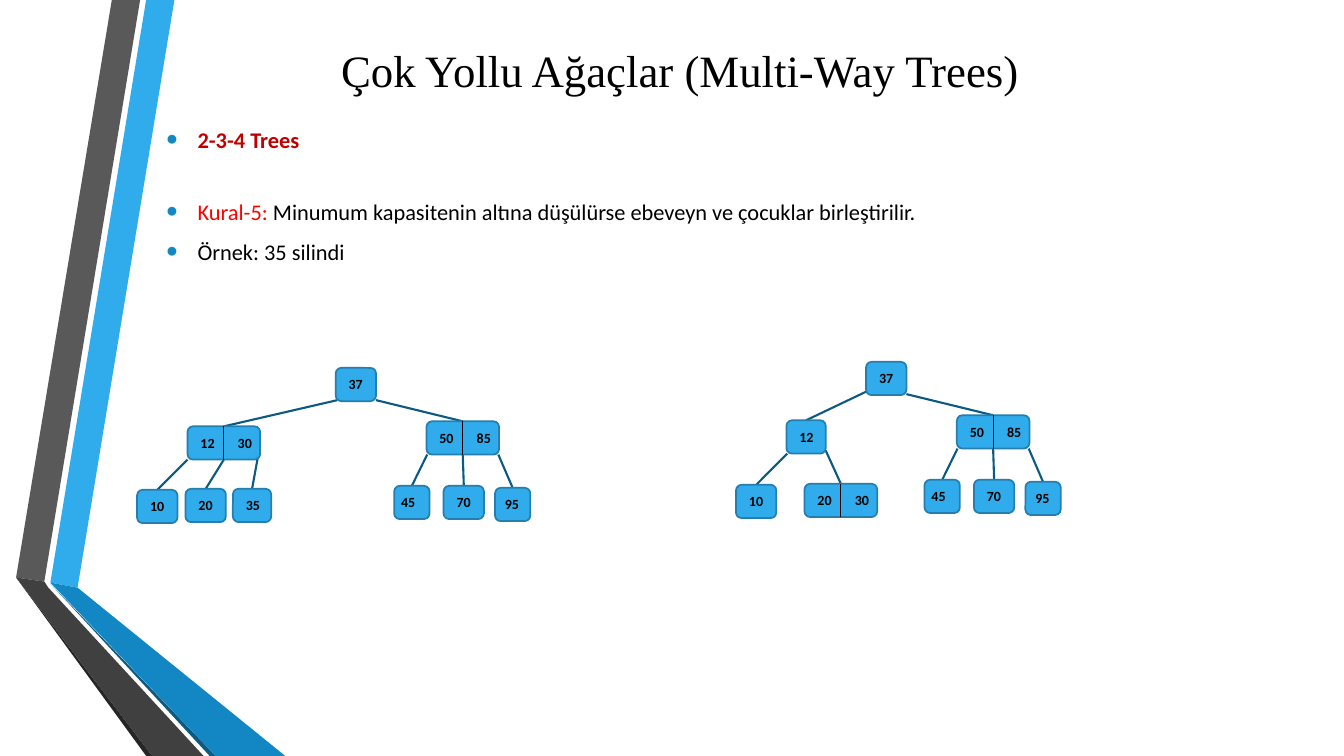
from dataclasses import dataclass

from lxml import etree
from pptx import Presentation
from pptx import util as u
from pptx.dml import color
from pptx.enum import shapes, text
from pptx.oxml import ns

COLORS = {
    "black": "000000", "dark red": "C00000", "red": "FF0000",
    "sky": "30ACEC", "blue": "1287C3", "navy": "0C5A82", "box line": "247FAF",
    "gray": "595959", "charcoal": "404040", "shade": "262626",
}
BOX_HEIGHT = 0.33
KEY_STEP = 0.37
INDENT = 0.31


@dataclass
class Band:
    color: str
    points: list[tuple[float, float]]


@dataclass
class Run:
    text: str
    color: str
    bold: bool = False


@dataclass
class Item:
    runs: list[Run]
    align: text.PP_ALIGN = text.PP_ALIGN.LEFT
    line_spacing: float = 1.0
    before: float = 0
    after: float = 6


@dataclass
class Node:
    keys: list[str]
    left: float
    top: float
    width: float = 0.4
    children: tuple["Node", ...] = ()
    inset: float = 0.03   # label offset from the left of the box
    start: float = 0.5    # where the edge leaves the parent, as a share of its width
    rise: float = 0       # how far above the parent's bottom the edge starts


BANDS = [
    Band("sky", [(0.5, 5.78), (0.77, 5.83), (1.73, 0), (1.45, 0)]),
    Band("gray", [(1.39, 0), (1.11, 0), (0.16, 5.73), (0.44, 5.77)]),
    Band("shade", [(0.16, 5.73), (1.45, 7.5), (1.51, 7.5)]),
    Band("navy", [(0.5, 5.79), (2.08, 7.5), (2.14, 7.5)]),
    Band("blue", [(0.5, 5.78), (2.14, 7.5), (2.83, 7.5), (0.77, 5.83)]),
    Band("charcoal", [(2.02, 7.5), (0.48, 5.83), (0.44, 5.77), (0.16, 5.73), (1.51, 7.5)]),
]

ITEMS = [
    Item([Run("2-3-4 Trees", "dark red", True)], text.PP_ALIGN.JUSTIFY, 1.5, after=0),
    Item([Run("Kural-5: ", "red"),
          Run("Minumum kapasitenin altına düşülürse ebeveyn ve çocuklar birleştirilir.", "black")],
         before=32),
    Item([Run("Örnek: 35 silindi", "black")], before=3.2),
]

RIGHT_BRANCH = Node(["50", "85"], 4.23, 4.18, 0.72, start=1, rise=0.01, children=(
    Node(["45"], 3.91, 4.82, 0.35, inset=-0.03, start=0.01),
    Node(["70"], 4.4, 4.82),
    Node(["95"], 4.91, 4.84, 0.35, inset=0, start=0.99),
))
LEFT_BEFORE = Node(["12", "30"], 1.86, 4.23, 0.72, start=0.04, rise=0.01, children=(
    Node(["10"], 1.36, 4.86, start=0),
    Node(["20"], 1.84, 4.85),
    Node(["35"], 2.31, 4.85, 0.38, start=0.97, rise=0.03),
))
LEFT_AFTER = Node(["12"], 2.54, 4.23, 0.39, start=0.03, rise=0.04, children=(
    Node(["10"], 2.04, 4.87, start=0.02),
    Node(["20", "30"], 2.72, 4.86, 0.72, start=1, rise=0.03),
))


def rgb(name: str) -> color.RGBColor:
    return color.RGBColor.from_string(COLORS[name])


def add_run(paragraph, run: Run, size: float, font: str) -> None:
    piece = paragraph.add_run()
    piece.text = run.text
    piece.font.name, piece.font.size = font, u.Pt(size)
    piece.font.bold = run.bold
    piece.font.color.rgb = rgb(run.color)


def add_bullet(paragraph) -> None:
    properties = paragraph._p.get_or_add_pPr()
    properties.set("marL", str(u.Inches(INDENT)))
    properties.set("indent", str(-u.Inches(INDENT)))
    bullet_color = etree.SubElement(properties, ns.qn("a:buClr"))
    etree.SubElement(bullet_color, ns.qn("a:srgbClr"), val=COLORS["blue"])
    etree.SubElement(properties, ns.qn("a:buSzPct"), val="145000")
    etree.SubElement(properties, ns.qn("a:buFont"), typeface="Arial")
    etree.SubElement(properties, ns.qn("a:buChar"), char="•")


def place(shape, left: float, top: float, width: float, height: float) -> None:
    shape.left, shape.top = u.Inches(left), u.Inches(top)
    shape.width, shape.height = u.Inches(width), u.Inches(height)


def add_band(slide, band: Band) -> None:
    points = [(u.Inches(x), u.Inches(y)) for x, y in band.points]
    builder = slide.shapes.build_freeform(*points[0])
    builder.add_line_segments(points[1:], close=True)
    shape = builder.convert_to_shape()
    shape.shadow.inherit = False
    shape.fill.solid()
    shape.fill.fore_color.rgb = rgb(band.color)
    shape.line.fill.background()


def add_line(slide, start: tuple[float, float], end: tuple[float, float],
             line_color: str, width: float) -> None:
    ends = [u.Inches(value) for value in (*start, *end)]
    line = slide.shapes.add_connector(shapes.MSO_CONNECTOR.STRAIGHT, *ends)
    line.line.color.rgb = rgb(line_color)
    line.line.width = u.Pt(width)
    etree.SubElement(line.element.spPr, ns.qn("a:effectLst"))


def add_label(slide, key: str, left: float, top: float) -> None:
    label = slide.shapes.add_textbox(u.Inches(left), u.Inches(top), u.Inches(0.36), u.Inches(0.27))
    frame = label.text_frame
    frame.word_wrap = True
    frame.auto_size = text.MSO_AUTO_SIZE.SHAPE_TO_FIT_TEXT
    add_run(frame.paragraphs[0], Run(key, "black", True), 10, "Calibri")


def draw_node(slide, node: Node, dx: float = 0, dy: float = 0) -> None:
    left, top = node.left + dx, node.top + dy
    # Edges to the children, then the children themselves
    for child in node.children:
        add_line(slide, (left + child.start * node.width, top + BOX_HEIGHT - child.rise),
                 (child.left + child.width / 2 + dx, child.top + dy), "navy", 1.5)
        draw_node(slide, child, dx, dy)
    # Box with its keys
    box = slide.shapes.add_shape(shapes.MSO_SHAPE.ROUNDED_RECTANGLE, u.Inches(left), u.Inches(top),
                                 u.Inches(node.width), u.Inches(BOX_HEIGHT))
    box.shadow.inherit = False
    box.fill.solid()
    box.fill.fore_color.rgb = rgb("sky")
    box.line.color.rgb = rgb("box line")
    box.line.width = u.Pt(1.25)
    if len(node.keys) > 1:
        middle = left + node.width / 2
        add_line(slide, (middle, top), (middle, top + BOX_HEIGHT), "black", 0.75)
    for index, key in enumerate(node.keys):
        add_label(slide, key, left + node.inset + index * KEY_STEP, top + 0.03)


def fill_placeholders(slide) -> None:
    title, body = slide.shapes.title, slide.placeholders[1]
    place(title, 1.55, 0.17, 10.39, 1.04)
    place(body, 1.55, 1.07, 10.39, 1.92)
    for shape, anchor in ((title, text.MSO_ANCHOR.MIDDLE), (body, text.MSO_ANCHOR.TOP)):
        shape.text_frame.auto_size = text.MSO_AUTO_SIZE.NONE
        shape.text_frame.vertical_anchor = anchor
    heading = title.text_frame.paragraphs[0]
    heading.alignment = text.PP_ALIGN.CENTER
    add_run(heading, Run("Çok Yollu Ağaçlar (Multi-Way Trees)", "black"), 32, "Times New Roman")
    frame = body.text_frame
    for index, item in enumerate(ITEMS):
        paragraph = frame.add_paragraph() if index else frame.paragraphs[0]
        add_bullet(paragraph)
        paragraph.alignment = item.align
        paragraph.line_spacing = item.line_spacing
        paragraph.space_before, paragraph.space_after = u.Pt(item.before), u.Pt(item.after)
        for run in item.runs:
            add_run(paragraph, run, 16, "Calibri")


def main() -> None:
    presentation = Presentation()
    presentation.slide_width, presentation.slide_height = u.Inches(13.33), u.Inches(7.5)
    slide = presentation.slides.add_slide(presentation.slide_layouts[1])
    # Ribbon on the left
    for band in BANDS:
        add_band(slide, band)
    # Title and rules
    fill_placeholders(slide)
    # Trees before and after the deletion
    for left_branch, dx, dy in ((LEFT_BEFORE, 0, 0), (LEFT_AFTER, 5.26, -0.06)):
        draw_node(slide, Node(["37"], 3.33, 3.65, children=(left_branch, RIGHT_BRANCH)), dx, dy)
    presentation.save("out.pptx")


if __name__ == "__main__":
    main()
